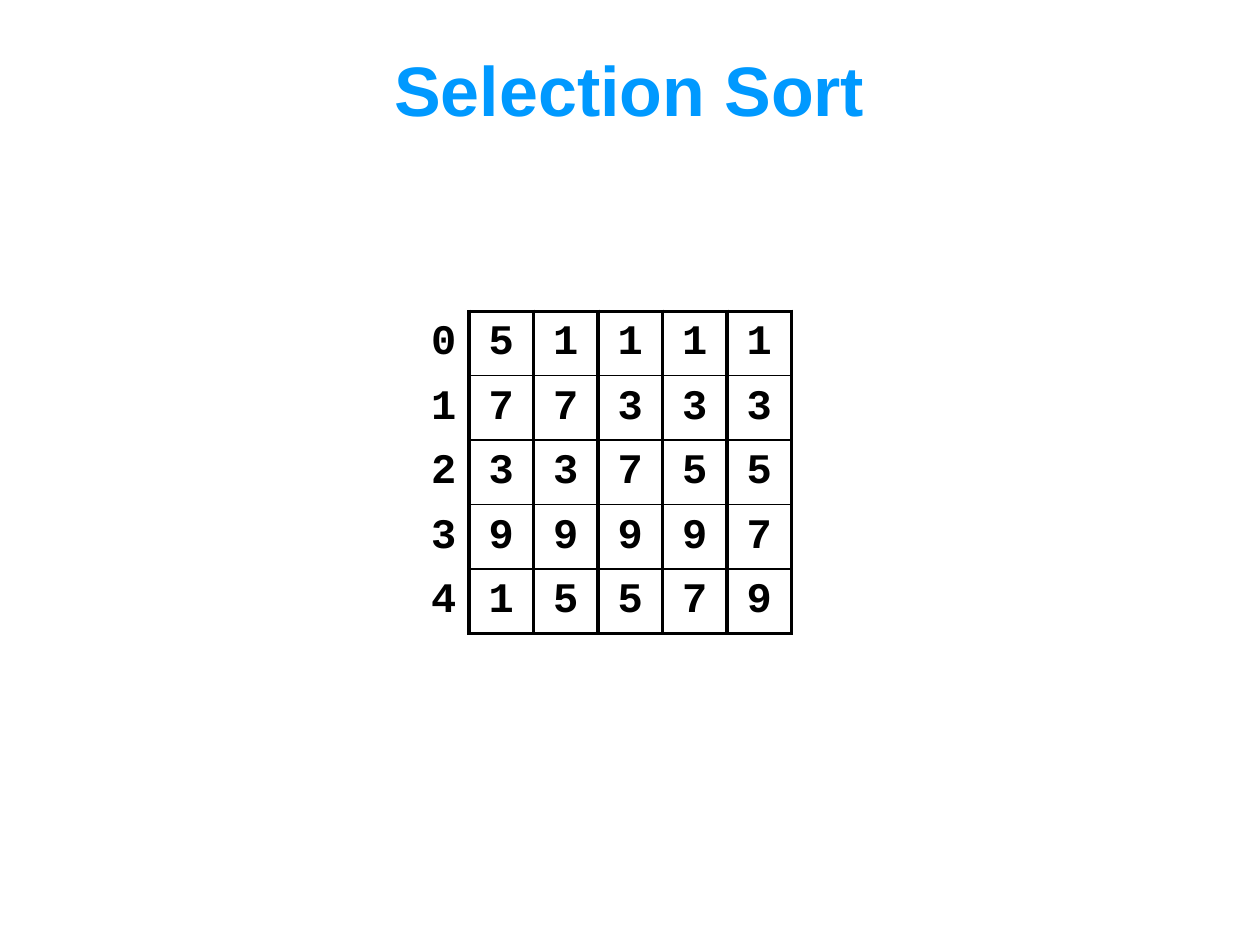
"""Build the selection sort slide: one table per pass, the first with row numbers."""
from lxml import etree
from pptx import Presentation
from pptx.dml.color import RGBColor
from pptx.enum.text import MSO_ANCHOR, PP_ALIGN
from pptx.oxml.ns import qn
from pptx.util import Inches, Pt

CENTER, RIGHT = PP_ALIGN.CENTER, PP_ALIGN.RIGHT
MIDDLE = MSO_ANCHOR.MIDDLE

TITLE = "Selection Sort"
INDEX = [0, 1, 2, 3, 4]
PASSES = [
    [5, 7, 3, 9, 1],
    [1, 7, 3, 9, 5],
    [1, 3, 7, 9, 5],
    [1, 3, 5, 9, 7],
    [1, 3, 5, 7, 9],
]

THEME = {
    "title": {"name": "Arial", "size": Pt(40), "bold": True, "color": "0099FF"},
    "cell": {"name": "Courier New", "size": Pt(24), "bold": True, "color": "000000"},
    "line": "000000",
    "thick": 2.25,
    "thin": 1,
    "before": 20,
}
LEFT, TOP, SPAN = 3.21, 2.47, 2.56
SIDE = SPAN / len(INDEX)


def style(font, look):
    for key, value in look.items():
        if key == "color":
            font.color.rgb = RGBColor.from_string(value)
        else:
            setattr(font, key, value)


def write(frame, text, look, align):
    para = frame.paragraphs[0]
    para.alignment = align
    run = para.add_run()
    run.text = str(text)
    style(run.font, look)
    return para


def border(cell, widths):
    props = cell._tc.get_or_add_tcPr()
    for edge in "LRTB":
        line = etree.SubElement(props, qn(f"a:ln{edge}"))
        if edge in widths:
            line.set("w", str(Pt(widths[edge])))
            fill = etree.SubElement(line, qn("a:solidFill"))
            etree.SubElement(fill, qn("a:srgbClr"), val=THEME["line"])
        else:
            etree.SubElement(line, qn("a:noFill"))


def fill_cell(cell, text, align, widths):
    para = write(cell.text_frame, text, THEME["cell"], align)
    space = etree.SubElement(para._p.get_or_add_pPr(), qn("a:spcBef"))
    etree.SubElement(space, qn("a:spcPct"), val=str(THEME["before"] * 1000))
    cell.vertical_anchor = MIDDLE
    border(cell, widths)
    cell.fill.background()


def add_grid(slide, left, columns):
    rows, count = len(INDEX), len(columns)
    frame = slide.shapes.add_table(
        rows, count, Inches(left), Inches(TOP), Inches(SIDE * count), Inches(SPAN)
    )
    table = frame.table
    table.first_row = table.horz_banding = False
    for col in table.columns:
        col.width = Inches(SIDE)
    for row in table.rows:
        row.height = Inches(SIDE)
    thick, thin = THEME["thick"], THEME["thin"]
    for c, values in enumerate(columns):
        for r, value in enumerate(values):
            if values is INDEX:
                align, widths = RIGHT, {"R": thick}
            else:
                align = CENTER
                widths = {
                    "L": thick,
                    "R": thick,
                    "T": thick if r == 0 else thin,
                    "B": thick if r == rows - 1 else thin,
                }
            fill_cell(table.cell(r, c), value, align, widths)


def main():
    deck = Presentation()
    deck.slide_width, deck.slide_height = Inches(10), Inches(7.5)
    slide = deck.slides.add_slide(deck.slide_layouts[5])
    title = slide.shapes.title
    title.left, title.top = Inches(0.27), Inches(0.21)
    title.width, title.height = Inches(9.45), Inches(0.98)
    title.text_frame.vertical_anchor = MIDDLE
    write(title.text_frame, TITLE, THEME["title"], CENTER)
    add_grid(slide, LEFT, [INDEX, PASSES[0]])
    for i, values in enumerate(PASSES[1:], start=2):
        add_grid(slide, LEFT + i * SIDE, [values])
    deck.save("out.pptx")


if __name__ == "__main__":
    main()
